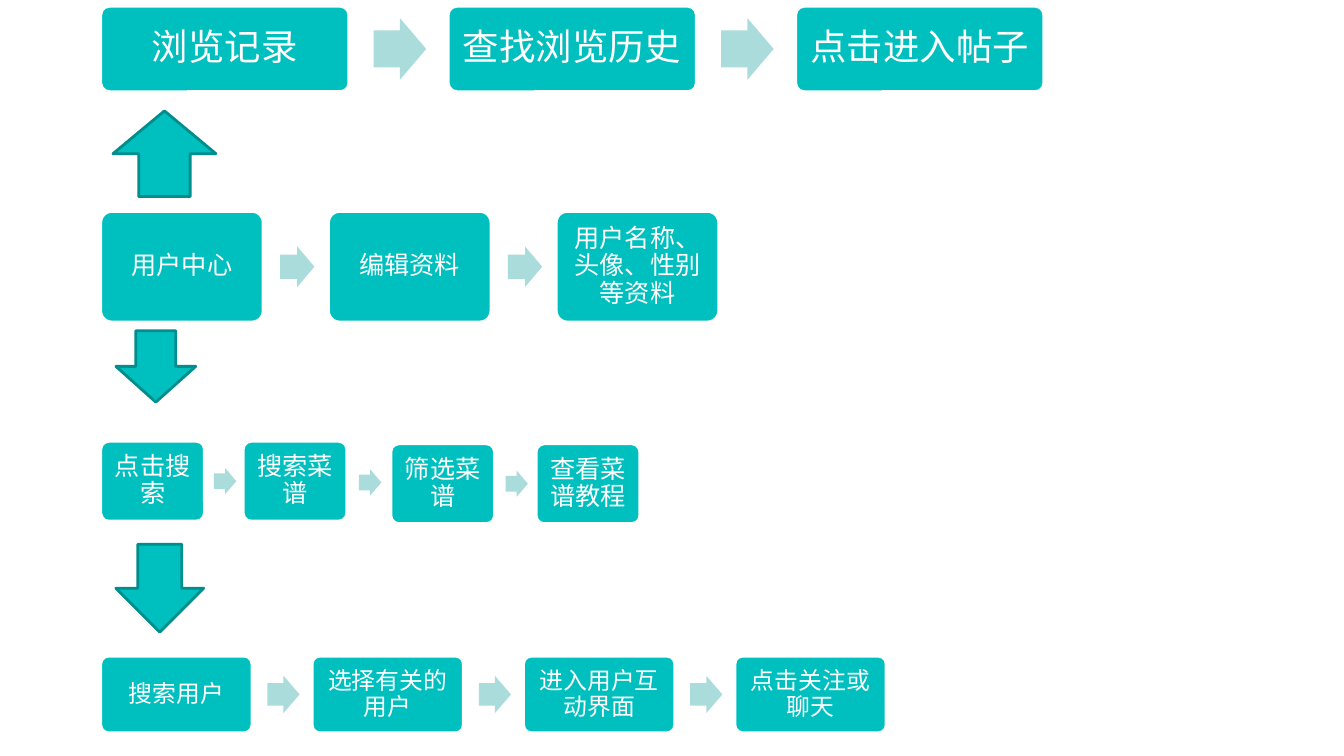
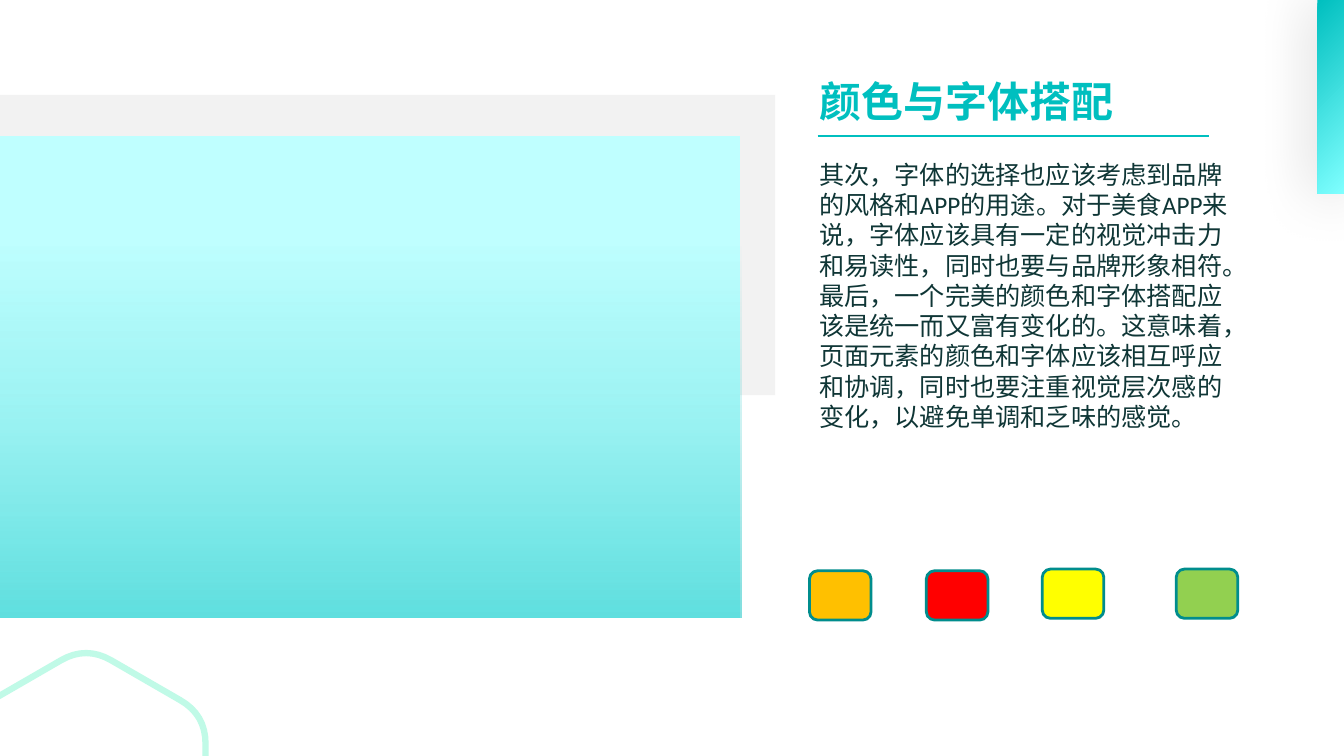
from itertools import pairwise
from math import cos, pi, sin

from lxml.etree import SubElement
from pptx import Presentation
from pptx.dml.color import RGBColor
from pptx.enum.shapes import MSO_CONNECTOR, MSO_SHAPE
from pptx.enum.text import MSO_ANCHOR, PP_ALIGN
from pptx.oxml import parse_xml
from pptx.oxml.ns import nsdecls, qn
from pptx.util import Pt

TEAL = RGBColor(0x00, 0xBF, 0xBF)
DEEP = RGBColor(0x00, 0x8D, 0x8D)
PALE = RGBColor(0xAB, 0xDC, 0xDC)
ICE = RGBColor(0xBF, 0xFF, 0xFF)
AQUA = RGBColor(0x7F, 0xFF, 0xFF)
MINT = RGBColor(0xC0, 0xFA, 0xE7)
INK = RGBColor(0x0F, 0x36, 0x36)
GREY = RGBColor(0xF2, 0xF2, 0xF2)
WHITE = RGBColor(0xFF, 0xFF, 0xFF)
AMBER = RGBColor(0xFF, 0xC0, 0x00)
RED = RGBColor(0xFF, 0x00, 0x00)
YELLOW = RGBColor(0xFF, 0xFF, 0x00)
GREEN = RGBColor(0x92, 0xD0, 0x50)

SANS = "Calibri"
HEAD = "Noto Sans CJK SC"

BODY = (
    "其次，字体的选择也应该考虑到品牌的风格和APP的用途。对于美食APP来说，"
    "字体应该具有一定的视觉冲击力和易读性，同时也要与品牌形象相符。最后，"
    "一个完美的颜色和字体搭配应该是统一而又富有变化的。这意味着，"
    "页面元素的颜色和字体应该相互呼应和协调，同时也要注重视觉层次感的变化，"
    "以避免单调和乏味的感觉。"
)


def add_block(slide, kind, left, top, width, height, fill, edge=None):
    """Add a preset shape with a flat fill and an optional 2 pt edge."""
    block = slide.shapes.add_shape(kind, Pt(left), Pt(top), Pt(width), Pt(height))
    block.shadow.inherit = False
    block.fill.solid()
    block.fill.fore_color.rgb = fill
    if edge is None:
        block.line.fill.background()
    else:
        block.line.color.rgb = edge
        block.line.width = Pt(2)
    return block


def set_text(frame, text, size, color, face=SANS, bold=False):
    """Write one styled paragraph into a text frame and return it."""
    frame.word_wrap = True
    frame.text = text
    para = frame.paragraphs[0]
    for run in para.runs:
        font = run.font
        font.size, font.bold, font.name = Pt(size), bold, face
        font.color.rgb = color
        SubElement(font._element, qn("a:ea"), typeface=face)
    return para


def set_blend(shape, stops, course):
    """Give a shape a gradient from (place, colour, opacity) stops in percent."""
    marks = "".join(
        f'<a:gs pos="{place * 1000}"><a:srgbClr val="{color}">'
        f'<a:alpha val="{alpha * 1000}"/></a:srgbClr></a:gs>'
        for place, color, alpha in stops
    )
    blend = parse_xml(
        f'<a:gradFill {nsdecls("a")} rotWithShape="1">'
        f"<a:gsLst>{marks}</a:gsLst>{course}</a:gradFill>"
    )
    shape.fill.background()
    props = shape._element.spPr
    props.replace(props.find(qn("a:noFill")), blend)


def add_glow(shape, blur, alpha):
    """Add a soft black shadow around a shape."""
    glow = parse_xml(
        f'<a:outerShdw {nsdecls("a")} blurRad="{Pt(blur)}" dist="0" algn="ctr" '
        f'rotWithShape="0"><a:srgbClr val="000000"><a:alpha val="{alpha * 1000}"/>'
        "</a:srgbClr></a:outerShdw>"
    )
    shape._element.spPr.find(qn("a:effectLst")).append(glow)


def add_rule(slide, left, right, top):
    """Add a thin level line."""
    rule = slide.shapes.add_connector(
        MSO_CONNECTOR.STRAIGHT, Pt(left), Pt(top), Pt(right), Pt(top)
    )
    rule.line.color.rgb = TEAL
    rule.line.width = Pt(1.5)
    SubElement(rule._element.spPr, qn("a:effectLst"))


def add_hex(slide, mid_x, mid_y, reach, cut=0.21, steps=8):
    """Add the outline of a hexagon with rounded corners."""
    tips = [
        (mid_x + reach * sin(i * pi / 3), mid_y - reach * cos(i * pi / 3))
        for i in range(6)
    ]
    points = []
    for i, tip in enumerate(tips):
        start, end = (
            [a + (b - a) * cut for a, b in zip(tip, near)]
            for near in (tips[i - 1], tips[(i + 1) % 6])
        )
        for step in range(steps + 1):
            t = step / steps
            points.append([
                Pt((1 - t) ** 2 * a + 2 * t * (1 - t) * b + t * t * c)
                for a, b, c in zip(start, tip, end)
            ])
    pen = slide.shapes.build_freeform(*points[0])
    pen.add_line_segments(points[1:], close=True)
    ring = pen.convert_to_shape()
    ring.shadow.inherit = False
    ring.fill.background()
    ring.line.color.rgb = MINT
    ring.line.width = Pt(4.5)


def add_flow(slide, names, spots, box, arrow, size, inset=5):
    """Add a row of boxes with a block arrow centred in each gap."""
    width, height = box
    for name, (left, top) in zip(names, spots):
        step = add_block(
            slide, MSO_SHAPE.ROUNDED_RECTANGLE, left, top, width, height, TEAL, WHITE
        )
        step.adjustments[0] = 0.1
        frame = step.text_frame
        frame.margin_left = frame.margin_right = Pt(inset)
        frame.margin_top = frame.margin_bottom = Pt(inset)
        frame.vertical_anchor = MSO_ANCHOR.MIDDLE
        para = set_text(frame, name, size, WHITE)
        para.alignment = PP_ALIGN.CENTER
        para.line_spacing = 0.9
    wide, high = arrow
    for (left, top), (right, low) in pairwise(spots):
        mid_x = (left + width + right) / 2 + 1
        mid_y = (top + low + height) / 2
        link = add_block(
            slide, MSO_SHAPE.RIGHT_ARROW,
            mid_x - wide / 2, mid_y - high / 2, wide, high, PALE,
        )
        link.adjustments[0], link.adjustments[1] = 0.6, 0.5


def lay_row(top, step, count):
    """Return evenly spaced spots that start at the left margin."""
    return [(72 + step * i, top) for i in range(count)]


def draw_flows(deck):
    """Build the slide with the four user flows."""
    slide = deck.slides.add_slide(deck.slide_layouts[6])
    add_flow(slide, ["浏览记录", "查找浏览历史", "点击进入帖子"],
             lay_row(4.5, 248.2, 3), (177.2, 61), (37.5, 44), 26, 8)
    add_flow(slide, ["用户中心", "编辑资料", "用户名称、头像、性别等资料"],
             lay_row(151, 162.7, 3), (116, 79), (24.5, 29), 18)
    add_flow(slide, ["点击搜索", "搜索菜谱", "筛选菜谱", "查看菜谱教程"],
             [(72, 315.2), (173.7, 315.2), (279.2, 317), (383, 317)],
             (74, 57), (16, 18.7), 18)
    add_flow(slide, ["搜索用户", "选择有关的用户", "进入用户互动界面", "点击关注或聊天"],
             lay_row(468.7, 151, 4), (108, 54.7), (23, 26.7), 17)
    for kind, left, top, width, height in [
        (MSO_SHAPE.UP_ARROW, 80.7, 79.2, 73.5, 61.2),
        (MSO_SHAPE.DOWN_ARROW, 82.8, 236.2, 57, 51),
        (MSO_SHAPE.DOWN_ARROW, 82.8, 388.8, 62.7, 62.7),
    ]:
        add_block(slide, kind, left, top, width, height, TEAL, DEEP)


def draw_style(deck):
    """Build the slide on colours and type."""
    slide = deck.slides.add_slide(deck.slide_layouts[5])
    title = slide.shapes.title
    title.left, title.top, title.width, title.height = Pt(578), Pt(50.4), Pt(342), Pt(46.8)
    title.text_frame.vertical_anchor = MSO_ANCHOR.TOP
    para = set_text(title.text_frame, "颜色与字体搭配", 30, TEAL, HEAD, True)
    para.alignment = PP_ALIGN.LEFT

    add_block(slide, MSO_SHAPE.RECTANGLE, 0, 67.7, 553.7, 214.5, GREY)
    add_block(slide, MSO_SHAPE.RECTANGLE, 0, 97.2, 528.5, 344.2, ICE)
    veil = add_block(slide, MSO_SHAPE.RECTANGLE, 0, 175, 530, 266.4, TEAL)
    set_blend(veil, [(0, TEAL, 0), (50, TEAL, 20), (100, TEAL, 50)],
              '<a:lin ang="5400000" scaled="0"/>')
    add_rule(slide, 584, 863.3, 97.2)
    add_hex(slide, 61.5, 559.8, 98.5)
    band = add_block(slide, MSO_SHAPE.RECTANGLE, 941, 0, 19, 138.2, TEAL)
    set_blend(band, [(0, AQUA, 100), (100, TEAL, 100)],
              '<a:path path="circle"><a:fillToRect l="100000" t="100000"/></a:path>')
    add_glow(band, 42, 20)

    note = slide.shapes.add_textbox(Pt(578), Pt(110.2), Pt(317.5), Pt(203.8))
    set_text(note.text_frame, BODY, 18, INK)
    for left, top, color in [
        (578.2, 407.7, AMBER), (661.7, 407.7, RED),
        (744.5, 406.5, YELLOW), (840.2, 406.5, GREEN),
    ]:
        add_block(slide, MSO_SHAPE.FLOWCHART_ALTERNATE_PROCESS,
                  left, top, 44, 35.2, color, DEEP)


def main():
    """Build and save the deck."""
    deck = Presentation()
    deck.slide_width, deck.slide_height = Pt(960), Pt(540)
    draw_flows(deck)
    draw_style(deck)
    deck.save("out.pptx")


if __name__ == "__main__":
    main()
